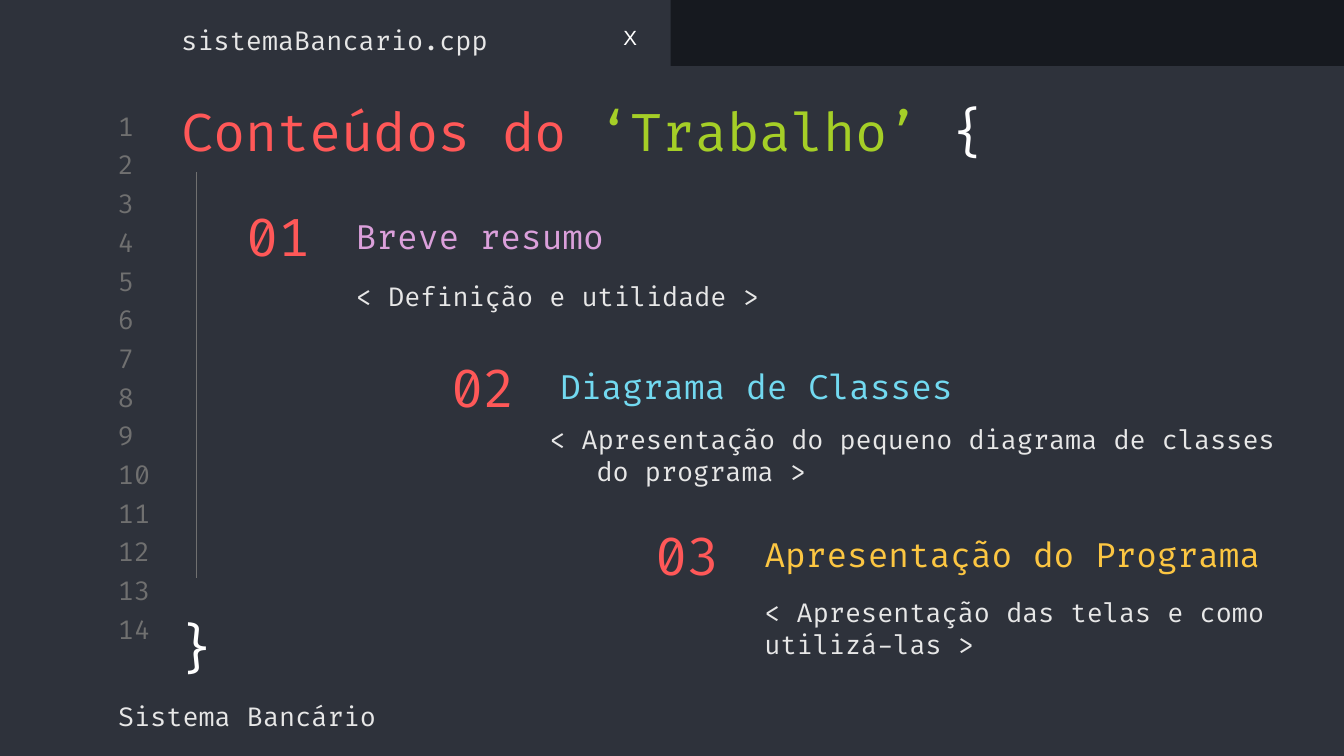
from pptx import Presentation
from pptx.dml.color import RGBColor
from pptx.enum.shapes import MSO_CONNECTOR, MSO_SHAPE
from pptx.enum.text import MSO_ANCHOR, PP_ALIGN
from pptx.oxml.ns import qn
from pptx.util import Pt
from lxml import etree

TOP, MIDDLE = MSO_ANCHOR.TOP, MSO_ANCHOR.MIDDLE
LEFT, CENTER = PP_ALIGN.LEFT, PP_ALIGN.CENTER
RECTANGLE = MSO_SHAPE.RECTANGLE
STRAIGHT = MSO_CONNECTOR.STRAIGHT

COLORS = {
    "background": "2E323B",
    "tab_bar": "16191F",
    "gray": "707070",
    "light": "E7E7E7",
    "white": "FFFFFF",
    "red": "FF5858",
    "green": "A5CF27",
    "purple": "DBA0DB",
    "cyan": "72D9F0",
    "yellow": "FCC642",
}

LINE_COUNT = 14
LINE_PITCH = 20.72
NUMBER_WIDTH = 68.4
HEADING_HEIGHT = 26.64
TOPIC_LEFT = 115.2
TOPIC_STEP = 109.44

TOPICS = [
    {
        "top": 113.04,
        "heading": "Breve resumo",
        "color": "purple",
        "width": 305.28,
        "detail": "< Definição e utilidade >",
        "box": (183.6, 139.68, 246.24, 38.16),
    },
    {
        "top": 193.68,
        "heading": "Diagrama de Classes",
        "color": "cyan",
        "width": 296.64,
        "detail": "< Apresentação do pequeno diagrama de classes do programa >",
        "box": (276.48, 224.64, 438.48, 38.16),
        "indent": (36, -25.2),
    },
    {
        "top": 283.68,
        "heading": "Apresentação do Programa",
        "color": "yellow",
        "width": 282.24,
        "detail": "< Apresentação das telas e como utilizá-las >",
        "box": (402.48, 310.32, 293.04, 52.56),
    },
]


def rgb(name):
    return RGBColor.from_string(COLORS[name])


def add_text(slide, text, box, size=14, color="light", font="Fira Code",
             align=LEFT, anchor=MIDDLE, inset=7.2, wrap=True, indent=None):
    shape = slide.shapes.add_textbox(*map(Pt, box))
    frame = shape.text_frame
    frame.word_wrap = wrap
    frame.vertical_anchor = anchor
    frame.margin_top = frame.margin_bottom = Pt(inset)
    frame.margin_left = frame.margin_right = Pt(7.2)
    paragraph = frame.paragraphs[0]
    paragraph.alignment = align
    if indent:
        properties = paragraph._p.get_or_add_pPr()
        for name, value in zip(("marL", "indent"), indent):
            properties.set(name, str(Pt(value)))
    parts = [(text, color)] if isinstance(text, str) else text
    for part, part_color in parts:
        run = paragraph.add_run()
        run.text = part
        run.font.name = font
        run.font.size = Pt(size)
        run.font.color.rgb = rgb(part_color)


def add_rectangle(slide, box, color):
    shape = slide.shapes.add_shape(RECTANGLE, *map(Pt, box))
    shape.shadow.inherit = False
    shape.fill.solid()
    shape.fill.fore_color.rgb = rgb(color)
    shape.line.fill.background()


def add_line(slide, start, end, color, width):
    connector = slide.shapes.add_connector(STRAIGHT, *map(Pt, start + end))
    connector.line.color.rgb = rgb(color)
    connector.line.width = Pt(width)
    etree.SubElement(connector._element.spPr, qn("a:effectLst"))


def add_line_numbers(slide):
    for index in range(LINE_COUNT):
        box = (56.16, 58.8 + index * LINE_PITCH, 33.84, 17.28)
        add_text(slide, str(index + 1), box, color="gray")


def add_topic(slide, index, topic):
    left = TOPIC_LEFT + index * TOPIC_STEP
    top = topic["top"]
    add_text(slide, f"{index + 1:02}", (left, top, NUMBER_WIDTH, HEADING_HEIGHT),
             size=28, color="red", align=CENTER)
    add_text(slide, topic["detail"], topic["box"], indent=topic.get("indent"))
    add_text(slide, topic["heading"],
             (left + NUMBER_WIDTH, top, topic["width"], HEADING_HEIGHT),
             size=18, color=topic["color"])


def add_code_block(slide):
    title = [("Conteúdos do ", "red"), ("‘Trabalho’ ", "green"), ("{", "white")]
    add_text(slide, title, (90, 46.08, 573.84, 42.48), size=28, anchor=TOP)
    add_text(slide, "}", (85.68, 322.56, 39.6, 48.24), size=28, color="white",
             align=CENTER, anchor=TOP)
    add_line(slide, (105.12, 92.16), (105.12, 309.6), "gray", 0.75)


def add_window_frame(slide):
    add_text(slide, "Sistema Bancário", (56.16, 369.36, 383.04, 28.08))
    add_text(slide, "sistemaBancario.cpp", (-0.72, 7.2, 360, 28.08), align=CENTER)
    add_rectangle(slide, (359.28, 0, 360.72, 35.28), "tab_bar")
    add_text(slide, "X", (326.88, 10.08, 22.32, 20.88), size=11, color="white",
             font="Arial", anchor=TOP, inset=3.6, wrap=False)


def main():
    presentation = Presentation()
    presentation.slide_width = Pt(720)
    presentation.slide_height = Pt(405)
    slide = presentation.slides.add_slide(presentation.slide_layouts[6])
    slide.background.fill.solid()
    slide.background.fill.fore_color.rgb = rgb("background")
    add_line_numbers(slide)
    for index, topic in enumerate(TOPICS):
        add_topic(slide, index, topic)
    add_code_block(slide)
    add_window_frame(slide)
    presentation.save("out.pptx")


if __name__ == "__main__":
    main()
